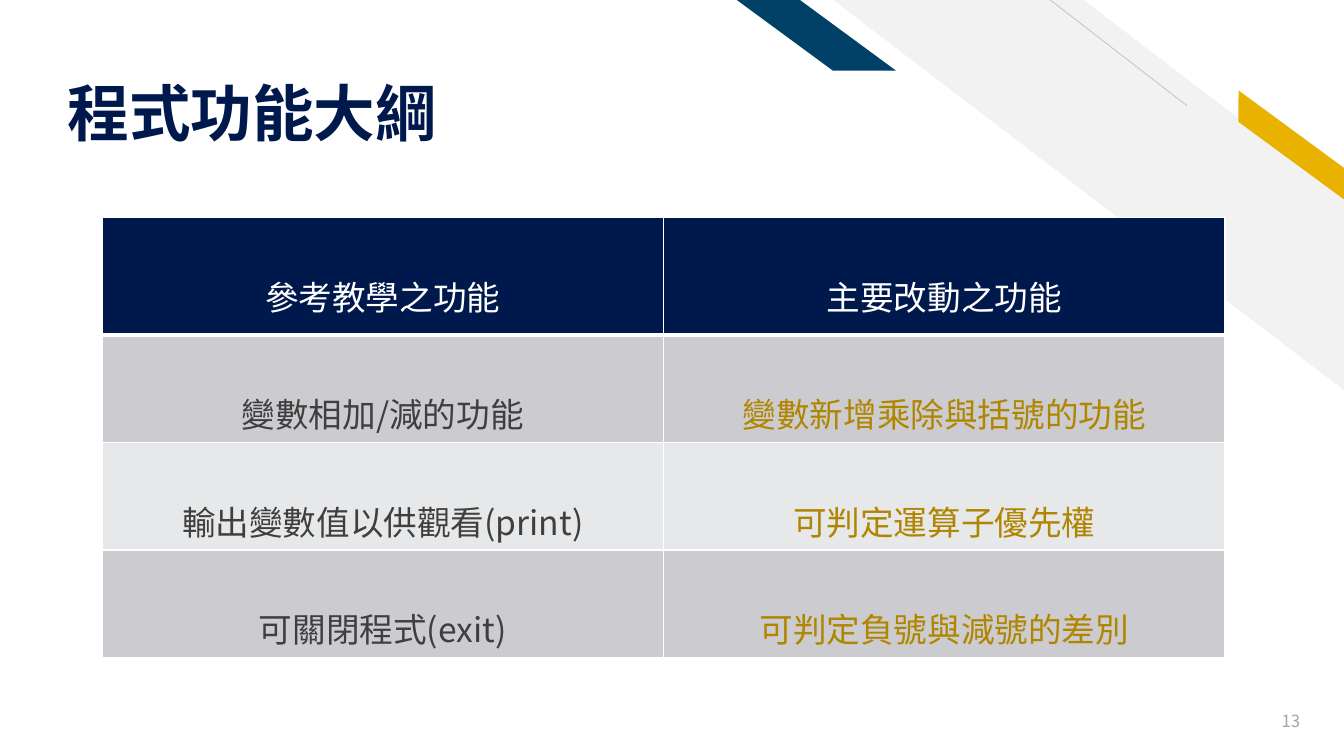
from lxml.etree import SubElement
from pptx import Presentation
from pptx.dml.color import RGBColor
from pptx.enum.shapes import MSO_CONNECTOR as Connector, MSO_SHAPE as Shape
from pptx.enum.text import MSO_ANCHOR as Anchor, PP_ALIGN as Align
from pptx.oxml.ns import qn
from pptx.util import Cm, Pt

NAVY = RGBColor(0x00, 0x19, 0x4C)
BLUE = RGBColor(0x01, 0x40, 0x67)
GOLD = RGBColor(0xEA, 0xB2, 0x00)
DARK_GOLD = RGBColor(0xB0, 0x85, 0x00)
WHITE = RGBColor(0xFF, 0xFF, 0xFF)
PALE = RGBColor(0xF2, 0xF2, 0xF2)
RULE_GRAY = RGBColor(0xBF, 0xBF, 0xBF)
NUMBER_GRAY = RGBColor(0xA5, 0xA5, 0xA5)
TEXT_GRAY = RGBColor(0x3F, 0x3F, 0x3F)
BAND_DARK = RGBColor(0xCC, 0xCC, 0xD0)
BAND_LIGHT = RGBColor(0xE7, 0xE8, 0xE9)

FEATURES = [
    ("參考教學之功能", "主要改動之功能"),
    ("變數相加/減的功能", "變數新增乘除與括號的功能"),
    ("輸出變數值以供觀看(print)", "可判定運算子優先權"),
    ("可關閉程式(exit)", "可判定負號與減號的差別"),
]


class SlideBuilder:
    heading_font = "Noto Sans CJK TC"
    table_font = "Noto Sans CJK SC"

    def __init__(self, page):
        self.page = page

    def style(self, para, size, color, font, bold=False, align=Align.LEFT, spacing=1.0):
        para.alignment = align
        para.line_spacing = spacing
        para.font.size = Pt(size)
        para.font.bold = bold
        para.font.color.rgb = color
        para.font.name = font
        # East Asian glyphs take their font from a separate element
        properties = para.font._element
        SubElement(properties, qn("a:ea")).set("typeface", font)

    def text(self, words, left, top, width, height, size, color,
             anchor=Anchor.TOP, bottom=0.13, **options):
        box = self.page.shapes.add_textbox(Cm(left), Cm(top), Cm(width), Cm(height))
        frame = box.text_frame
        frame.word_wrap = True
        frame.vertical_anchor = anchor
        frame.margin_bottom = Cm(bottom)
        para = frame.paragraphs[0]
        para.text = words
        self.style(para, size, color, self.heading_font, **options)

    def stripe(self, kind, left, top, width, height, slant, color, rotation=0):
        band = self.page.shapes.add_shape(kind, Cm(left), Cm(top), Cm(width), Cm(height))
        band.adjustments[0] = slant
        band.rotation = rotation
        band.shadow.inherit = False
        band.fill.solid()
        band.fill.fore_color.rgb = color
        band.line.fill.background()
        band._element.spPr.find(qn("a:xfrm")).set("flipH", "1")

    def line(self, x1, y1, x2, y2, color, weight):
        rule = self.page.shapes.add_connector(
            Connector.STRAIGHT, Cm(x1), Cm(y1), Cm(x2), Cm(y2))
        rule.line.color.rgb = color
        rule.line.width = Pt(weight)
        SubElement(rule._element.spPr, qn("a:effectLst"))

    def borders(self, cell, top, bottom):
        properties = cell._tc.get_or_add_tcPr()
        for side, weight in (("L", 1), ("R", 1), ("T", top), ("B", bottom)):
            edge = SubElement(properties, qn(f"a:ln{side}"), w=str(Pt(weight)))
            fill = SubElement(edge, qn("a:solidFill"))
            SubElement(fill, qn("a:srgbClr"), val=str(WHITE))

    def table(self, rows, left, top, column_width, header_height, row_height):
        columns, body_rows = len(rows[0]), len(rows) - 1
        table = self.page.shapes.add_table(
            len(rows), columns, Cm(left), Cm(top), Cm(column_width * columns),
            Cm(header_height + row_height * body_rows)).table
        table.first_row = table.horz_banding = False
        for column in table.columns:
            column.width = Cm(column_width)
        for r, words in enumerate(rows):
            table.rows[r].height = Cm(row_height if r else header_height)
            for c, word in enumerate(words):
                cell = table.cell(r, c)
                self.borders(cell, top=3 if r == 1 else 1, bottom=3 if r == 0 else 1)
                cell.fill.solid()
                if r == 0:
                    cell.fill.fore_color.rgb, color = NAVY, WHITE
                else:
                    cell.fill.fore_color.rgb = BAND_DARK if r % 2 else BAND_LIGHT
                    color = DARK_GOLD if c else TEXT_GRAY
                para = cell.text_frame.paragraphs[0]
                para.text = word
                self.style(para, 24, color, self.table_font,
                           align=Align.CENTER, spacing=2.0)


def main():
    deck = Presentation()
    deck.slide_width, deck.slide_height = Cm(33.87), Cm(19.05)
    slide = SlideBuilder(deck.slides.add_slide(deck.slide_layouts[6]))

    # Diagonal decoration
    slide.stripe(Shape.DIAGONAL_STRIPE, 21, 0, 12.87, 9.83, 0.51, PALE)
    slide.line(29.92, 2.67, 26.47, 0, RULE_GRAY, 0.5)
    slide.stripe(Shape.PARALLELOGRAM, 30.66, 3.33, 3.76, 0.64, 0.72, GOLD, rotation=36.3)
    slide.stripe(Shape.PARALLELOGRAM, 18.57, 0, 4.01, 1.78, 1.36, BLUE)

    # Title and page number
    slide.text("程式功能大綱", 1.45, 0.58, 23.14, 3.2, 44, NAVY,
               anchor=Anchor.BOTTOM, bottom=0, bold=True, spacing=0.9)
    slide.text("13", 30.96, 17.65, 2.06, 1.02, 12, NUMBER_GRAY,
               anchor=Anchor.MIDDLE, align=Align.RIGHT)

    # Feature comparison
    slide.table(FEATURES, 2.57, 5.49, 14.15, header_height=2.95, row_height=2.71)

    deck.save("out.pptx")


if __name__ == "__main__":
    main()
